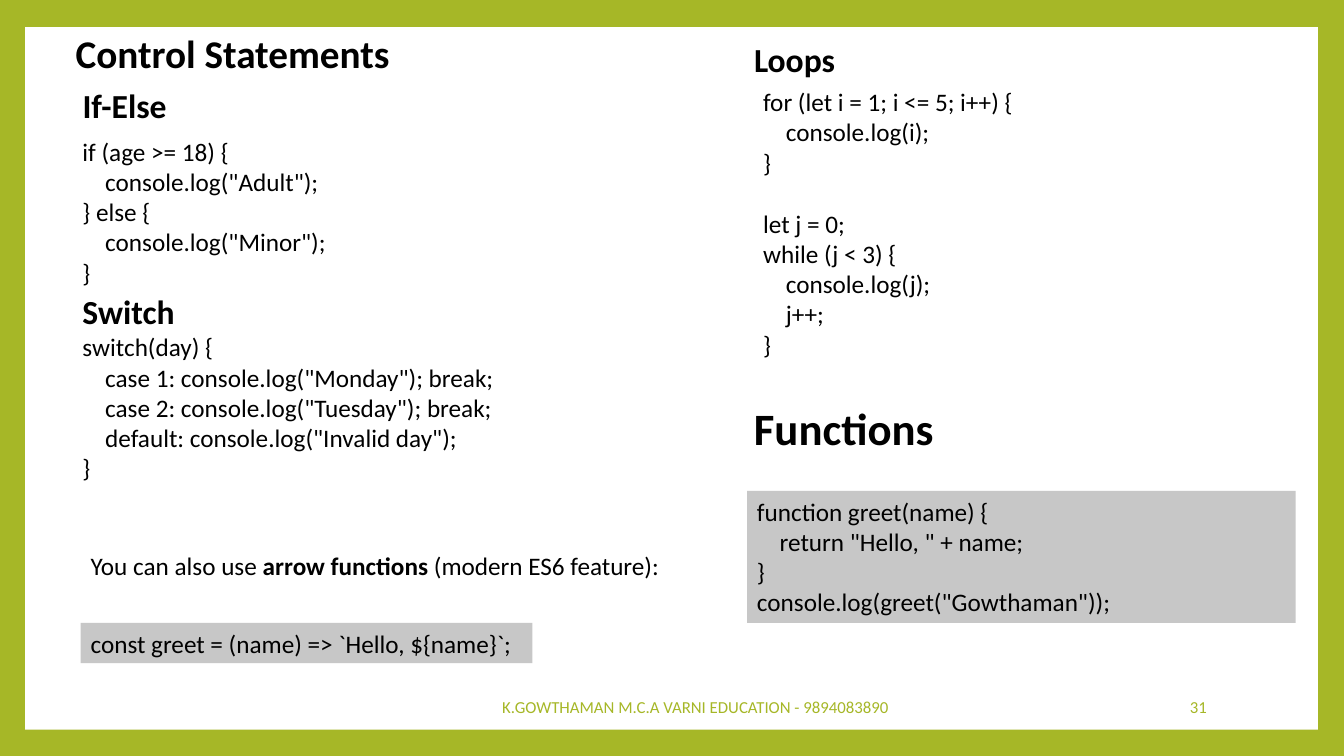
from pptx import Presentation
from pptx.util import Inches, Pt
from pptx.dml.color import RGBColor
from pptx.enum.shapes import MSO_SHAPE as Shape
from pptx.enum.text import MSO_ANCHOR as Anchor, MSO_AUTO_SIZE as Auto, PP_ALIGN as Align

COLORS = {"green": "A6B727", "white": "FFFFFF", "gray": "C7C7C7", "black": "000000"}
FONT = "Calibri"

IF_CODE = """if (age >= 18) {
    console.log("Adult");
} else {
    console.log("Minor");
}"""
SWITCH_CODE = """switch(day) {
    case 1: console.log("Monday"); break;
    case 2: console.log("Tuesday"); break;
    default: console.log("Invalid day");
}"""
FOR_CODE = """for (let i = 1; i <= 5; i++) {
    console.log(i);
}"""
WHILE_CODE = """let j = 0;
while (j < 3) {
    console.log(j);
    j++;
}"""
GREET_CODE = """function greet(name) {
    return "Hello, " + name;
}
console.log(greet("Gowthaman"));"""
ARROW_CODE = "const greet = (name) => `Hello, ${name}`;"


def color(name):
    return RGBColor.from_string(COLORS[name])


def place(shape, box):
    shape.left, shape.top, shape.width, shape.height = map(Inches, box)


def style(shape, size, bold=False, tint="black", align=Align.LEFT, anchor=Anchor.TOP, wrap=True):
    frame = shape.text_frame
    frame.auto_size = Auto.NONE
    frame.word_wrap = wrap
    frame.vertical_anchor = anchor
    for para in frame.paragraphs:
        para.alignment = align
        for run in para.runs:
            font = run.font
            font.name, font.size, font.bold = FONT, Pt(size), bold
            font.color.rgb = color(tint)


def add_panel(slide, box, fill):
    panel = slide.shapes.add_shape(Shape.RECTANGLE, *map(Inches, box))
    panel.shadow.inherit = False
    panel.fill.solid()
    panel.fill.fore_color.rgb = color(fill)
    panel.line.fill.background()
    return panel


def add_text(slide, box, text, size=18, **look):
    label = slide.shapes.add_textbox(*map(Inches, box))
    label.text_frame.text = text
    style(label, size, **look)
    return label


def add_code(slide, box, text):
    panel = add_panel(slide, box, "gray")
    panel.text_frame.text = text
    style(panel, 18)


def add_title(slide, box):
    title = slide.shapes.title
    place(title, box)
    title.text_frame.text = "Control Statements"
    style(title, 28, bold=True, wrap=False)


# Left column: branches and arrow functions
def add_left(slide, x, y, width):
    add_text(slide, (x, y, 1.11, 0.5), "If-Else", 24, bold=True, wrap=False)
    add_text(slide, (x, y + 0.51, width, 1.62), IF_CODE)
    add_text(slide, (x, y + 2.05, 1.2, 0.5), "Switch", 24, bold=True, wrap=False)
    add_text(slide, (x, y + 2.45, width, 1.62), SWITCH_CODE)
    note = add_text(slide, (x + 0.08, y + 4.62, 6.01, 0.4), "You can also use ", wrap=False)
    para = note.text_frame.paragraphs[0]
    for text in ("arrow functions", " (modern ES6 feature):"):
        para.add_run().text = text
    style(note, 18, wrap=False)
    para.runs[1].font.bold = True
    add_code(slide, (x + 0.08, y + 5.39, 4.48, 0.4), ARROW_CODE)


# Right column: loops and functions
def add_right(slide, x, y):
    add_text(slide, (x, y, 1.08, 0.5), "Loops", 24, bold=True, wrap=False)
    loops = add_text(slide, (x + 0.09, y + 0.47, 3.92, 2.83), FOR_CODE + "\n" + WHILE_CODE)
    start = len(FOR_CODE.splitlines())
    loops.text_frame.paragraphs[start].space_before = Pt(22)
    add_text(slide, (x, y + 3.59, 2.1, 0.64), "Functions", 32, bold=True, wrap=False)
    add_code(slide, (x + 0.03, y + 4.53, 5.44, 1.31), GREET_CODE)


# Footer line and page number
def add_footer(slide, y):
    look = {"size": 12, "tint": "green", "anchor": Anchor.MIDDLE}
    add_text(slide, (4.32, y, 5.16, 0.4), "K.GOWTHAMAN M.C.A VARNI EDUCATION - 9894083890",
             align=Align.CENTER, **look)
    add_text(slide, (10.2, y, 1.87, 0.4), "31", align=Align.RIGHT, **look)


def main():
    deck = Presentation()
    deck.slide_width, deck.slide_height = Inches(13.33), Inches(7.5)
    slide = deck.slides.add_slide(deck.slide_layouts[5])

    # Green frame around a white page
    back = slide.background.fill
    back.solid()
    back.fore_color.rgb = color("green")
    page = add_panel(slide, (0.25, 0.27, 12.82, 6.97), "white")
    slide.shapes.title.element.addprevious(page.element)

    add_title(slide, (0.65, 0.24, 3.54, 0.57))
    add_left(slide, 0.72, 0.79, 6.67)
    add_right(slide, 7.38, 0.34)
    add_footer(slide, 6.81)
    deck.save("out.pptx")


if __name__ == "__main__":
    main()
